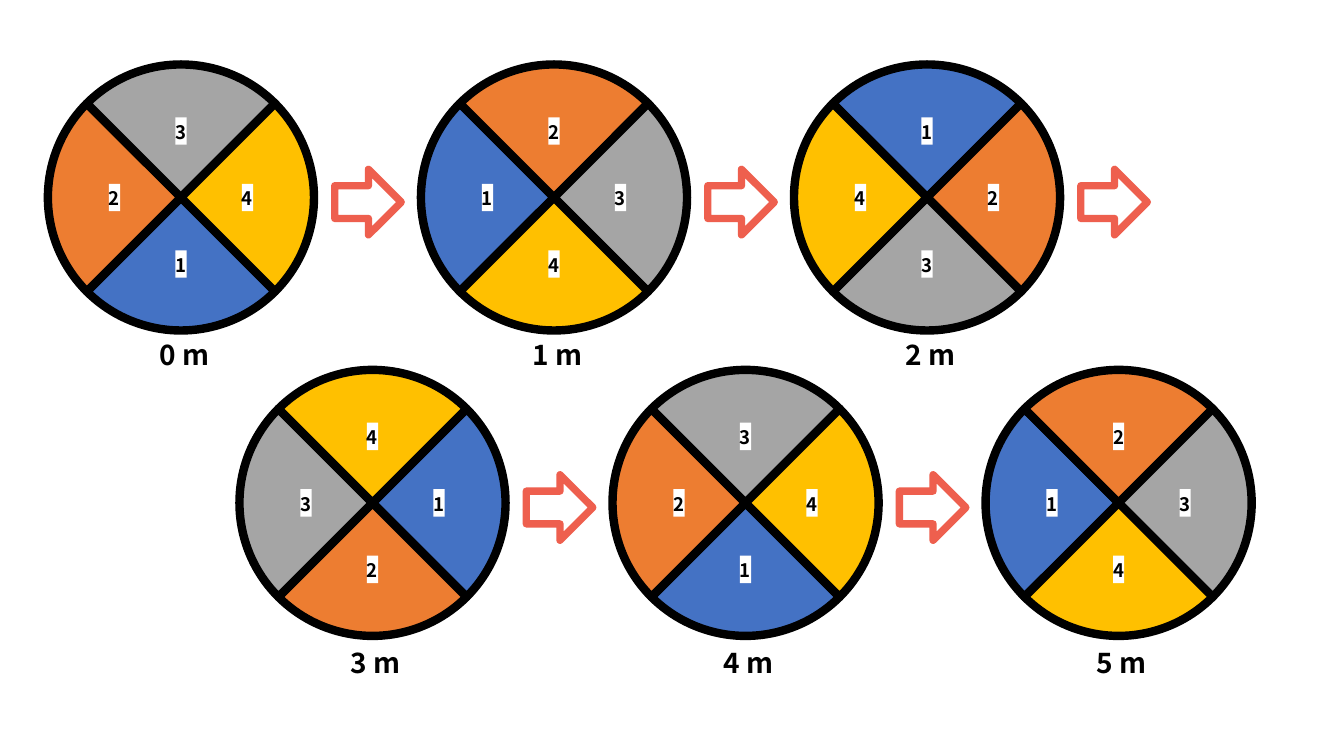
from dataclasses import dataclass

from lxml.etree import SubElement
from pptx import Presentation
from pptx.chart.data import CategoryChartData as ChartData
from pptx.dml.color import RGBColor
from pptx.enum.chart import XL_CHART_TYPE as Kind, XL_LABEL_POSITION as Spot
from pptx.enum.shapes import MSO_SHAPE as Form
from pptx.enum.text import MSO_AUTO_SIZE as Fit, PP_ALIGN as Align
from pptx.oxml import parse_xml
from pptx.oxml.ns import nsdecls, qn
from pptx.slide import Slide
from pptx.util import Inches, Pt

FONT = "Noto Sans CJK KR"
BLACK = RGBColor(0x00, 0x00, 0x00)
WHITE = RGBColor(0xFF, 0xFF, 0xFF)
CORAL = RGBColor(0xEE, 0x5F, 0x4E)
BLUE = RGBColor(0x44, 0x72, 0xC4)
ORANGE = RGBColor(0xED, 0x7D, 0x31)
GRAY = RGBColor(0xA5, 0xA5, 0xA5)
GOLD = RGBColor(0xFF, 0xC0, 0x00)
SLICES = (BLUE, ORANGE, GRAY, GOLD)

WIDE, HIGH = 3.33, 2.92  # chart frame
DISC = 2.64  # pie diameter
STEP = 3.7  # from one pie to the next
COUNT = 3  # pies in a row


@dataclass
class Row:
    left: float
    top: float
    base: float  # top of the captions
    arrows: int


ROWS = (Row(0.13, 0.5, 3.3, 3), Row(2.03, 3.53, 6.35, 2))


def place_disc(area) -> None:
    """Centre a pie of fixed diameter in its chart frame."""
    old = area.find(qn("c:layout"))
    if old is not None:
        area.remove(old)
    wide, high = DISC / WIDE, DISC / HIGH
    sizes = {"x": (1 - wide) / 2, "y": (1 - high) / 2, "w": wide, "h": high}
    layout = parse_xml(f"<c:layout {nsdecls('c')}><c:manualLayout/></c:layout>")
    box = layout[0]
    SubElement(box, qn("c:layoutTarget")).set("val", "inner")
    for mode in ("xMode", "yMode"):
        SubElement(box, qn(f"c:{mode}")).set("val", "edge")
    for name, size in sizes.items():
        SubElement(box, qn(f"c:{name}")).set("val", f"{size:.4f}")
    area.insert(0, layout)


def add_pie(slide: Slide, left: float, top: float, angle: int) -> None:
    data = ChartData()
    data.categories = [str(n + 1) for n in range(len(SLICES))]
    data.add_series("Series 1", [25] * len(SLICES))
    chart = slide.shapes.add_chart(
        Kind.PIE, Inches(left), Inches(top), Inches(WIDE), Inches(HIGH), data
    ).chart
    chart.has_legend = chart.has_title = False
    chart.font.name, chart.font.size = FONT, Pt(10)
    chart.font.color.rgb = BLACK

    # Slices
    plot = chart.plots[0]
    plot.vary_by_categories = True
    series = plot.series[0]
    for i, color in enumerate(SLICES):
        part = series.points[i].format
        part.fill.solid()
        part.fill.fore_color.rgb = color
        part.line.color.rgb, part.line.width = BLACK, Pt(6)

    # Numbers on white tags
    labels = series.data_labels
    labels.show_category_name = True
    labels.show_value = labels.show_percentage = False
    labels.position = Spot.CENTER
    font = labels.font
    font.name, font.size, font.bold = FONT, Pt(13.3), True
    font.color.rgb = BLACK
    tag = parse_xml(
        f"<c:spPr {nsdecls('c', 'a')}><a:solidFill>"
        f'<a:srgbClr val="{WHITE}"/></a:solidFill></c:spPr>'
    )
    labels._element.find(qn("c:txPr")).addprevious(tag)

    # Rotation and size
    pie = plot._element
    SubElement(pie, qn("c:firstSliceAng")).set("val", str(angle))
    place_disc(pie.getparent())


def add_arrow(slide: Slide, left: float, top: float) -> None:
    arrow = slide.shapes.add_shape(
        Form.RIGHT_ARROW, Inches(left), Inches(top), Inches(0.66), Inches(0.65)
    )
    arrow.shadow.inherit = False
    arrow.fill.solid()
    arrow.fill.fore_color.rgb = WHITE
    arrow.line.color.rgb, arrow.line.width = CORAL, Pt(5.25)


def add_label(slide: Slide, left: float, top: float, text: str) -> None:
    frame = slide.shapes.add_textbox(
        Inches(left), Inches(top), Inches(WIDE), Inches(0.44)
    ).text_frame
    frame.word_wrap = True
    frame.auto_size = Fit.SHAPE_TO_FIT_TEXT
    frame.text = text
    line = frame.paragraphs[0]
    line.alignment = Align.CENTER
    font = line.runs[0].font
    font.name, font.size, font.bold = FONT, Pt(20), True
    font.color.rgb = BLACK


def main() -> None:
    deck = Presentation()
    deck.slide_width, deck.slide_height = Inches(13.33), Inches(7.5)
    slide = deck.slides.add_slide(deck.slide_layouts[6])

    # Each metre turns the pie by a quarter
    for r, row in enumerate(ROWS):
        for i in range(COUNT):
            left = row.left + i * STEP
            metre = r * COUNT + i
            add_pie(slide, left, row.top, (135 + 90 * metre) % 360)
            add_label(slide, left, row.base, f" {metre} m")
        for i in range(row.arrows):
            add_arrow(slide, row.left + i * STEP + 3.19, row.top + 1.18)

    deck.save("out.pptx")


if __name__ == "__main__":
    main()
